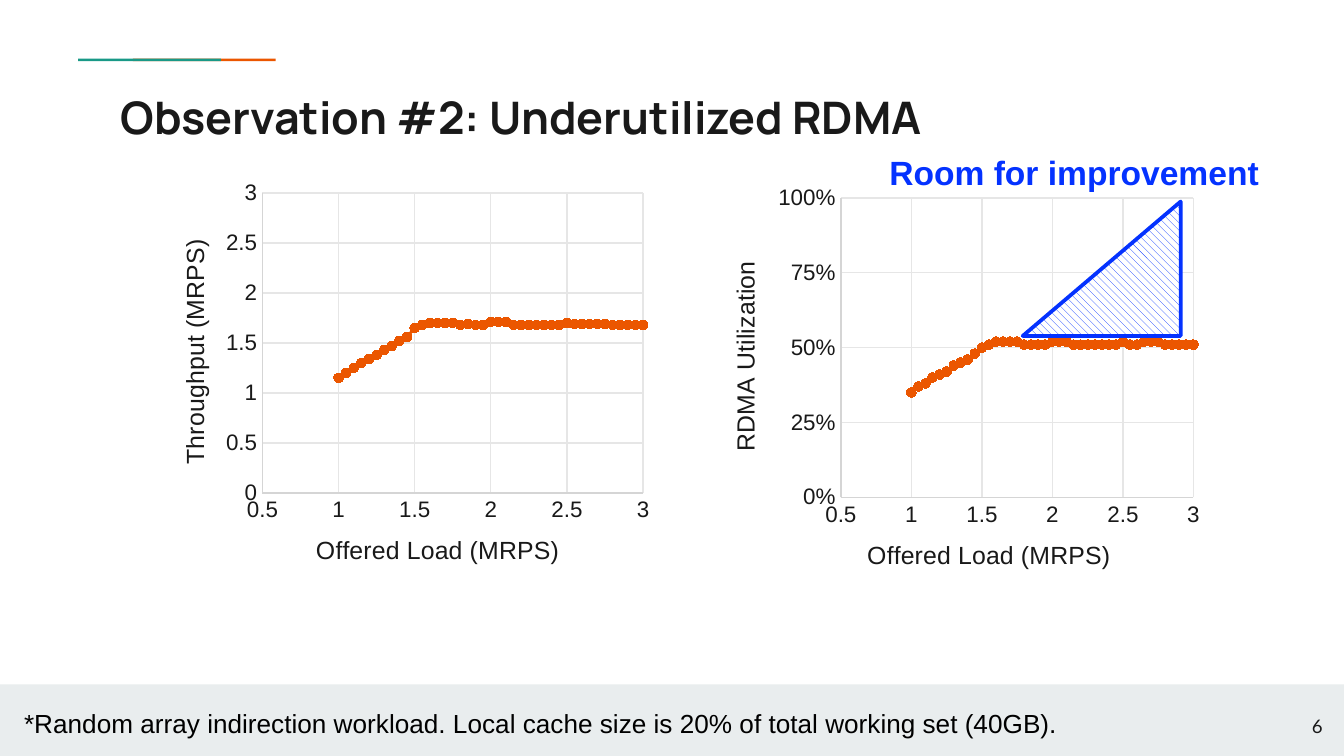
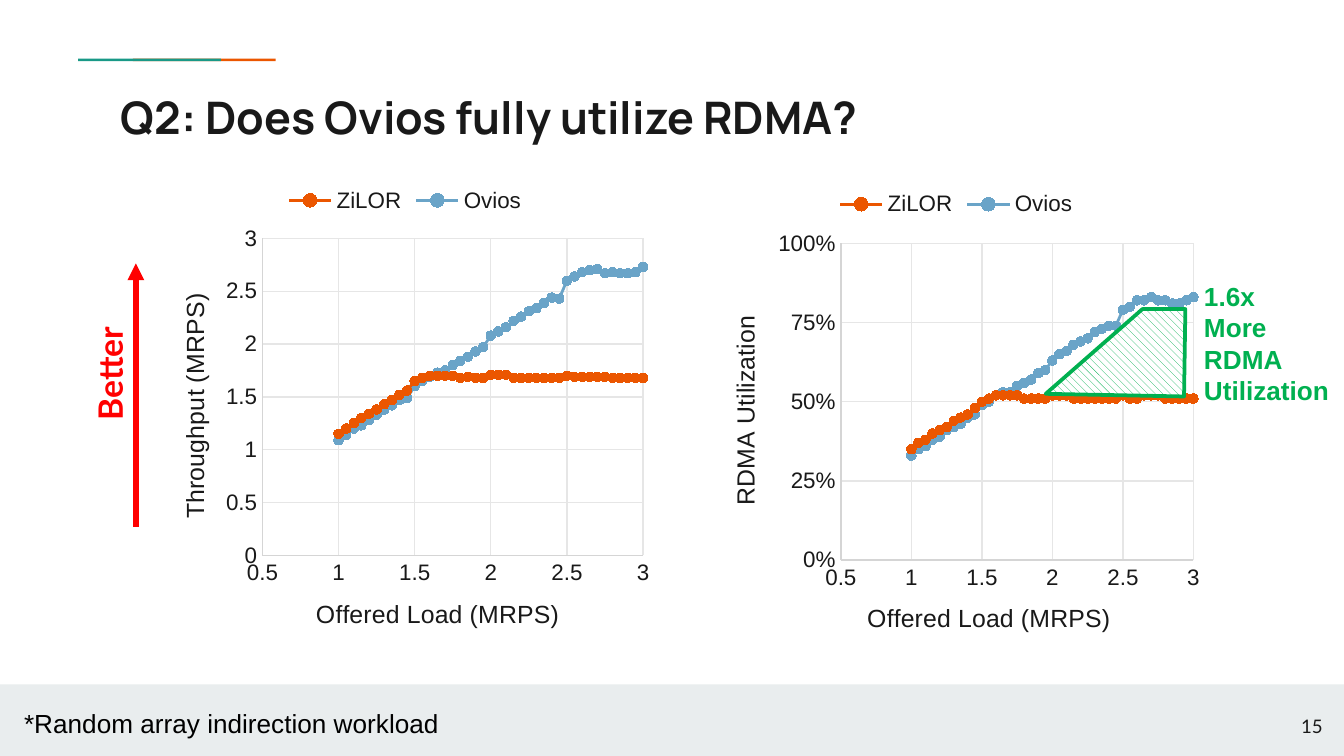
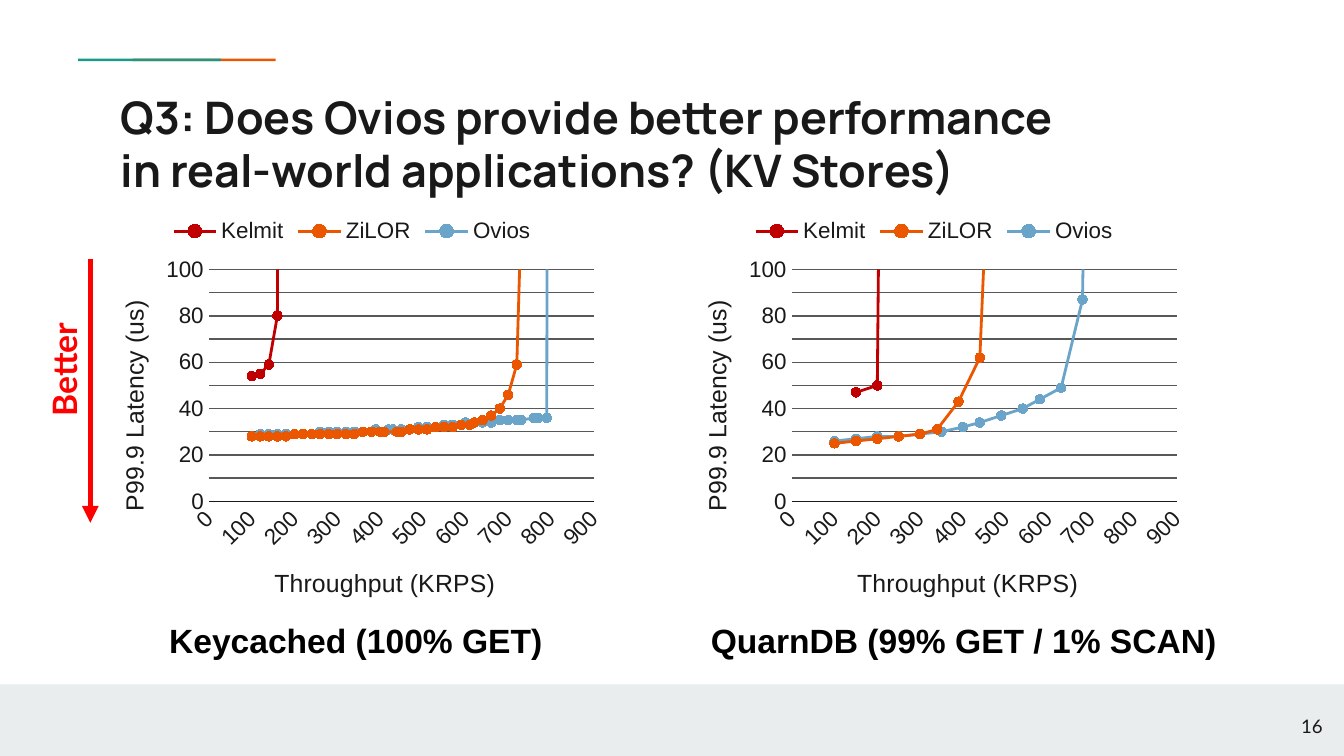
from copy import deepcopy

from pptx import Presentation
from pptx.chart.data import XyChartData
from pptx.dml.color import RGBColor
from pptx.enum.chart import XL_CHART_TYPE, XL_LEGEND_POSITION, XL_MARKER_STYLE, XL_TICK_MARK
from pptx.enum.dml import MSO_PATTERN
from pptx.enum.shapes import MSO_CONNECTOR, MSO_SHAPE
from pptx.enum.text import MSO_ANCHOR, MSO_AUTO_SIZE, PP_ALIGN
from pptx.oxml import parse_xml
from pptx.oxml.ns import nsdecls
from pptx.util import Pt

# Shared colours
INK, BLACK, BLUE, GREEN, RED = "191919", "000000", "0432FF", "00B050", "FF0000"
ORANGE, TEAL, BAND, AXIS, GRID, DARK_GRID = "EB5600", "199987", "E9EDEE", "D5D5D5", "E6E6E6", "585858"
SERIES_COLOR = {"Series 1": ORANGE, "Kelmit": "C00000", "ZiLOR": ORANGE, "Ovios": "6AA4C8"}
rgb = RGBColor.from_string


def style(font, size=12, color=INK, name="Arial", bold=False):
    font.size, font.name, font.bold = Pt(size), name, bold
    font.color.rgb = rgb(color)


def write(sp, text, align=PP_ALIGN.LEFT, anchor=MSO_ANCHOR.TOP, wrap=True, margin=3.6, **fmt):
    tf = sp.text_frame
    tf.word_wrap, tf.auto_size, tf.vertical_anchor = wrap, MSO_AUTO_SIZE.NONE, anchor
    tf.margin_top = tf.margin_bottom = Pt(margin)
    for i, line in enumerate(text.split("\n")):
        p = tf.paragraphs[0] if i == 0 else tf.add_paragraph()
        p.text, p.alignment = line, align
        for r in p.runs:
            style(r.font, **fmt)
    for br in sp.element.xpath(".//a:br"):
        br.append(deepcopy(sp.element.xpath(".//a:rPr")[0]))


# Measured data
load = [round(1 + 0.05 * i, 2) for i in range(45)]
zilor_rps = [1.15, 1.2, 1.25, 1.3, 1.34, 1.38, 1.43, 1.47, 1.52, 1.56, 1.65, 1.68, 1.7, 1.7, 1.7,
             1.7, 1.68, 1.69, 1.68, 1.68, 1.71, 1.71, 1.71, 1.68, 1.68, 1.68, 1.68, 1.68, 1.68, 1.68,
             1.7, 1.69, 1.69, 1.69, 1.69, 1.69, 1.68, 1.68, 1.68, 1.68, 1.68, 1.68, 1.69, 1.68, 1.68]
ovios_rps = [1.09, 1.14, 1.2, 1.23, 1.28, 1.33, 1.38, 1.42, 1.47, 1.49, 1.6, 1.65, 1.69, 1.73, 1.75,
             1.8, 1.84, 1.88, 1.93, 1.97, 2.08, 2.12, 2.16, 2.22, 2.26, 2.31, 2.34, 2.39, 2.44, 2.43,
             2.6, 2.64, 2.68, 2.7, 2.71, 2.67, 2.68, 2.67, 2.67, 2.68, 2.73, 2.73, 2.74, 2.69, 2.69]
zilor_util = [0.35, 0.37, 0.38, 0.4, 0.41, 0.42, 0.44, 0.45, 0.46, 0.48, 0.5, 0.51, 0.52, 0.52, 0.52,
              0.52, 0.51, 0.51, 0.51, 0.51, 0.52, 0.52, 0.52, 0.51, 0.51, 0.51, 0.51, 0.51, 0.51, 0.51,
              0.52, 0.51, 0.51, 0.52, 0.52, 0.52, 0.51, 0.51, 0.51, 0.51, 0.51, 0.51, 0.51, 0.51, 0.51]
ovios_util = [0.33, 0.35, 0.36, 0.38, 0.39, 0.41, 0.42, 0.43, 0.45, 0.46, 0.49, 0.5, 0.52, 0.53, 0.53,
              0.55, 0.56, 0.57, 0.59, 0.6, 0.63, 0.65, 0.66, 0.68, 0.69, 0.7, 0.72, 0.73, 0.74, 0.74,
              0.79, 0.8, 0.82, 0.82, 0.83, 0.82, 0.82, 0.81, 0.81, 0.82, 0.83, 0.83, 0.84, 0.82, 0.82]
get_only = {
    "Kelmit": (list(range(100, 360, 20)) + [360] * 25, [54, 55, 59, 80] + [1000] * 34),
    "ZiLOR": (list(range(100, 420, 20)) +
              [410, 440, 450, 470, 490, 510, 530, 550, 570, 590, 610, 620, 640, 660, 680, 700, 720,
               740, 750, 750, 750, 740],
              [28] * 5 + [29] * 8 + [30] * 6 +
              [31, 31, 31, 32, 32, 32, 33, 33, 34, 35, 37, 40, 46, 59, 183] + [1000] * 4),
    "Ovios": (list(range(100, 400, 20)) +
              [390, 420, 430, 450, 470, 490, 510, 530, 550, 570, 590, 600, 620, 640, 660, 680, 700,
               720, 730, 760, 770, 790, 800],
              [28] + [29] * 7 + [30] * 7 + [31] * 5 + [32] * 3 + [33] * 3 + [34] * 4 + [35] * 4 +
              [36] * 3 + [1000]),
}
get_scan = {
    "Kelmit": ([150, 200, 250, 300, 340, 390, 390, 380, 380, 380], [47, 50] + [1000] * 8),
    "ZiLOR": ([100, 150, 200, 250, 300, 340, 390, 440, 490, 520, 520],
              [25, 26, 27, 28, 29, 31, 43, 62, 281, 1000, 1000]),
    "Ovios": ([100, 150, 200, 250, 300, 350, 400, 440, 490, 540, 580, 630, 680, 720, 760],
              [26, 27, 28, 28, 29, 30, 32, 34, 37, 40, 44, 49, 87, 545, 1000]),
}

prs = Presentation()
prs.slide_width, prs.slide_height = Pt(720), Pt(405)

# Layout: title place, accent lines and footer band
layout = prs.slide_layouts[5]
title = layout.placeholders[0]
title.left, title.top, title.width, title.height = Pt(57.6), Pt(40.7), Pt(605.5), Pt(42.5)
slides = [prs.slides.add_slide(layout) for _ in range(3)]
for i, (x, y, w, h, color) in enumerate([(71.2, 31.4, 76.5, 1.4, ORANGE), (41.8, 31.4, 76.5, 1.4, TEAL),
                                         (0, 366.7, 720, 38.3, BAND)]):
    sp = slides[0].shapes.add_shape(MSO_SHAPE.RECTANGLE, Pt(x), Pt(y), Pt(w), Pt(h))
    sp.shadow.inherit = False
    sp.fill.solid()
    sp.fill.fore_color.rgb = rgb(color)
    sp.line.fill.background()
    sp.element.nvSpPr.cNvPr.set("id", str(20 + i))
    layout.shapes.element.append(sp.element)

# Titles and slide numbers
heads = [("Observation #2: Underutilized RDMA", "6"),
         ("Q2: Does Ovios fully utilize RDMA?", "15"),
         ("Q3: Does Ovios provide better performance\vin real-world applications? (KV Stores)", "16")]
for s, (head, number) in zip(slides, heads):
    write(s.shapes.title, head, margin=7.2, size=24, name="Manrope", bold=True)
    sp = s.shapes.add_textbox(Pt(672.5), Pt(373.7), Pt(43.2), Pt(31))
    write(sp, number, align=PP_ALIGN.RIGHT, anchor=MSO_ANCHOR.MIDDLE, margin=7.2, size=10, name="Lato")

# Axes: (title, min, max, step, number format)
load_axis = ("Offered Load (MRPS)", 0.5, 3, 0.5, "General")
rps_axis = ("Throughput (MRPS)", 0, 3, 0.5, "General")
util_axis = ("RDMA Utilization", 0, 1, 0.25, "0%")
krps_axis = ("Throughput (KRPS)", 0, 900, 100, "0")
latency_axis = ("P99.9 Latency (us)", 0, 100, 10, "General")

# Charts: slide, frame, plot area, axes, x title from plot bottom left, y title from plot top left, series
charts = [
    (0, (80.6, 92.9, 272.9, 225.4), (140.6, 103.4, 203.9, 160.7), load_axis, rps_axis,
     (26.3, 19.8), (-47.2, 22.4), {"Series 1": (load, zilor_rps)}),
    (0, (375.8, 95, 272.9, 225.4), (450.5, 106.1, 188.9, 160.4), load_axis, util_axis,
     (11.7, 19.8), (-62.2, 31.5), {"Series 1": (load, zilor_util)}),
    (1, (80.6, 92.9, 272.9, 259.9), (140.6, 127.8, 203.9, 169.8), load_axis, rps_axis,
     (26.3, 20.2), (-47.2, 27), {"ZiLOR": (load, zilor_rps), "Ovios": (load, ovios_rps)}),
    (1, (375.8, 95, 272.9, 259.9), (450.5, 130.4, 188.9, 169.8), load_axis, util_axis,
     (11.7, 20.2), (-62.2, 36.2), {"ZiLOR": (load, zilor_util), "Ovios": (load, ovios_util)}),
    (2, (48.2, 109.4, 280.8, 226.8), (112, 144.4, 206.2, 124.3), krps_axis, latency_axis,
     (32.6, 32.7), (-51.1, 14.1), get_only),
    (2, (360, 109.4, 280.8, 226.8), (424.2, 144.4, 206.2, 124.3), krps_axis, latency_axis,
     (32.6, 32.7), (-51.1, 14.1), get_scan),
]
for n, frame, plot, x_axis, y_axis, x_shift, y_shift, series in charts:
    # Series share one length; the filler at the end of shorter ones is dropped below
    longest = max(len(xs) for xs, ys in series.values())
    data = XyChartData()
    for name, (xs, ys) in series.items():
        ser = data.add_series(name)
        points = list(zip(xs, ys))
        for point in points + points[-1:] * (longest - len(points)):
            ser.add_data_point(*point)
    chart = slides[n].shapes.add_chart(XL_CHART_TYPE.XY_SCATTER_LINES, *map(Pt, frame), data).chart
    for el, (xs, ys) in zip(chart.element.xpath(".//c:ser"), series.values()):
        for pt in el.xpath(f".//c:pt[@idx >= {len(xs)}]"):
            pt.getparent().remove(pt)
    style(chart.font, 10, DARK_GRID)
    chart.has_title = False
    chart.plots[0].vary_by_categories = False
    chart.has_legend = len(series) > 1
    if chart.has_legend:
        chart.legend.position = XL_LEGEND_POSITION.TOP
        chart.legend.include_in_layout = False
        style(chart.legend.font)

    for ser in chart.plots[0].series:
        color = rgb(SERIES_COLOR[ser.name])
        ser.smooth = False
        ser.format.line.color.rgb, ser.format.line.width = color, Pt(1.5)
        ser.marker.style, ser.marker.size = XL_MARKER_STYLE.CIRCLE, 5
        ser.marker.format.fill.solid()
        ser.marker.format.fill.fore_color.rgb = color
        ser.marker.format.line.color.rgb = color

    latency = y_axis is latency_axis
    for ax, (name, low, high, step, number_format) in ((chart.category_axis, x_axis), (chart.value_axis, y_axis)):
        ax.minimum_scale, ax.maximum_scale, ax.major_unit = low, high, step
        ax.major_tick_mark = ax.minor_tick_mark = XL_TICK_MARK.NONE
        ax.tick_labels.number_format, ax.tick_labels.number_format_is_linked = number_format, False
        style(ax.tick_labels.font)
        ax.format.line.color.rgb, ax.format.line.width = rgb(INK if latency else AXIS), Pt(0.75)
        ax.has_major_gridlines = name != krps_axis[0]
        if ax.has_major_gridlines:
            line = ax.major_gridlines.format.line
            line.color.rgb, line.width = rgb(DARK_GRID if latency else GRID), Pt(0.75)
        ax.axis_title.text_frame.text = name
        style(ax.axis_title.text_frame.paragraphs[0].runs[0].font, 13.3)
    if latency:
        chart.value_axis.format.line.fill.background()
        chart.element.xpath(".//c:valAx/c:txPr/a:bodyPr")[0].set("rot", "-2700000")
    body = chart.element.xpath(".//c:valAx/c:title//a:bodyPr")[1]
    body.set("rot", "-5400000")
    body.set("vert", "horz")

    # Fixed places of the plot area and the axis titles
    left, top, width, height = plot
    x_title, y_title = chart.element.xpath(".//c:valAx/c:title")
    for el, x, y, size in ((chart.element.xpath(".//c:plotArea")[0], left, top, (width, height)),
                           (x_title, left + x_shift[0], top + height + x_shift[1], None),
                           (y_title, left + y_shift[0], top + y_shift[1], None)):
        for old in el.xpath("./c:layout"):
            el.remove(old)
        values = [("xMode", "edge"), ("yMode", "edge"),
                  ("x", round((x - frame[0]) / frame[2], 4)), ("y", round((y - frame[1]) / frame[3], 4))]
        if size:
            values.insert(0, ("layoutTarget", "inner"))
            values += [("w", round(size[0] / frame[2], 4)), ("h", round(size[1] / frame[3], 4))]
        tags = "".join(f'<c:{tag} val="{val}"/>' for tag, val in values)
        el.insert(0 if size else 1, parse_xml(
            f'<c:layout {nsdecls("c")}><c:manualLayout>{tags}</c:manualLayout></c:layout>'))

# Hatched areas
triangle = slides[0].shapes.add_shape(MSO_SHAPE.RIGHT_TRIANGLE, Pt(547.9), Pt(108), Pt(84.6), Pt(72))
triangle.element.spPr.xfrm.set("flipH", "1")
ff = slides[1].shapes.build_freeform(Pt(560.2), Pt(211))
ff.add_line_segments([(Pt(x), Pt(y)) for x, y in ((612, 165.6), (635, 165.6), (634.3, 212.4))], close=True)
for sp, color in ((triangle, BLUE), (ff.convert_to_shape(), GREEN)):
    sp.shadow.inherit = False
    sp.fill.patterned()
    sp.fill.pattern = MSO_PATTERN.WIDE_DOWNWARD_DIAGONAL
    sp.fill.fore_color.rgb, sp.fill.back_color.rgb = rgb(color), rgb("FFFFFF")
    sp.line.color.rgb, sp.line.width = rgb(color), Pt(2)

# "Better" arrows
for n, x, start, end in ((1, 72.8, 282.2, 141.1), (2, 48.4, 139, 280.1)):
    cx = slides[n].shapes.add_connector(MSO_CONNECTOR.STRAIGHT, Pt(x), Pt(start), Pt(x), Pt(end))
    cx.line.color.rgb, cx.line.width = rgb(RED), Pt(3)
    cx.element.xpath(".//a:ln")[0].append(parse_xml(f'<a:tailEnd {nsdecls("a")} type="triangle"/>'))
    cx.element.spPr.append(parse_xml(f'<a:effectLst {nsdecls("a")}/>'))

# Labels: slide, text, place, rotation, format
bold = {"size": 18, "bold": True}
note = {"size": 14, "color": BLACK}
better = {**bold, "color": RED, "name": "Lato"}
labels = [
    (0, "Room for improvement", (469.4, 77.8, 214.6, 28.8), 0, {**bold, "color": BLUE}),
    (0, "*Random array indirection workload. Local cache size is 20% of total working set (40GB).",
     (5.8, 375.4, 571, 24.5), 0, note),
    (1, "*Random array indirection workload", (5.8, 375.4, 237.6, 24.5), 0, note),
    (1, "Better", (25.2, 184.3, 67, 28.8), 270, better),
    (1, "1.6x\nMore\nRDMA\nUtilization", (637.9, 146.6, 75.6, 74.2), 0,
     {"size": 14, "bold": True, "color": GREEN}),
    (2, "Keycached (100% GET)", (83.5, 328.7, 224.6, 28.8), 0, {**bold, "color": BLACK}),
    (2, "QuarnDB (99% GET / 1% SCAN)", (373.7, 328.7, 289.4, 28.8), 0, {**bold, "color": BLACK}),
    (2, "Better", (0.7, 182.2, 67, 28.8), 270, better),
]
for n, text, place, rotation, fmt in labels:
    sp = slides[n].shapes.add_textbox(*map(Pt, place))
    sp.rotation = rotation
    write(sp, text, wrap=False, **fmt)

prs.save("out.pptx")
